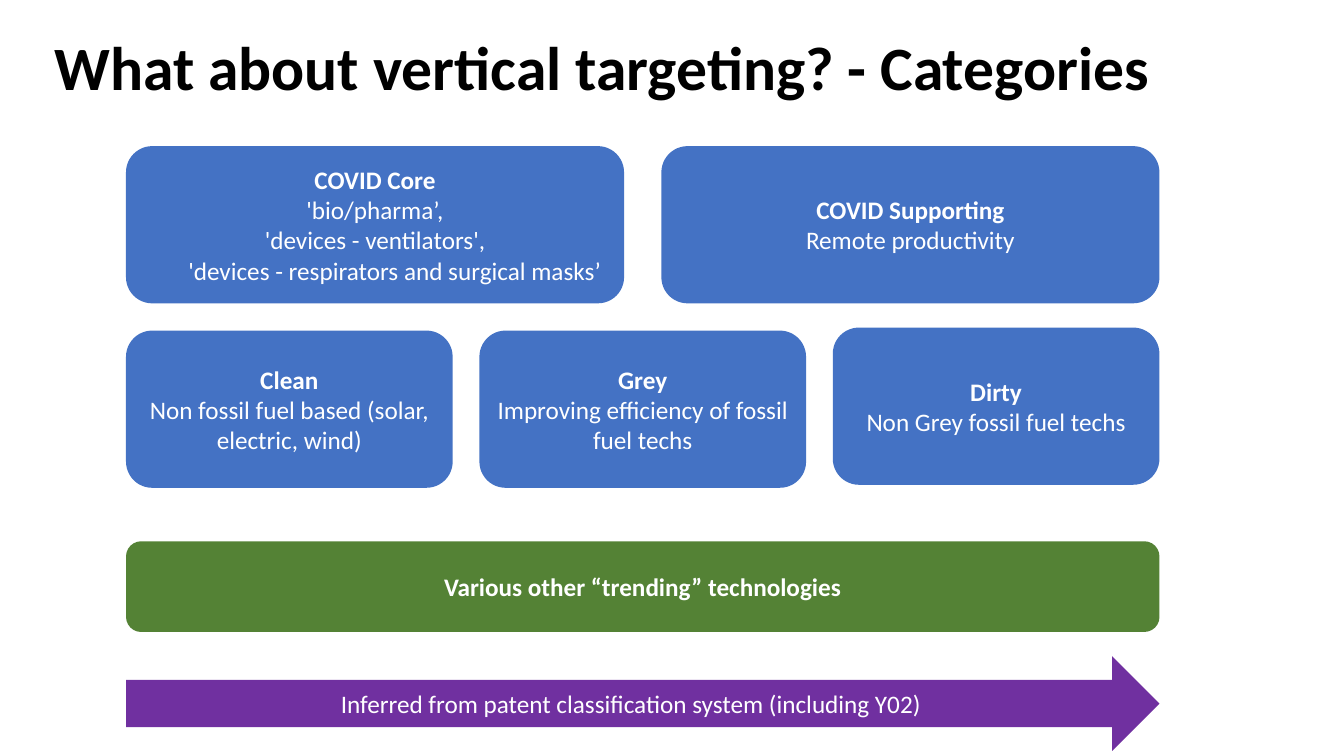
from pptx import Presentation
from pptx import util as u
from pptx.dml.color import RGBColor
from pptx.enum import shapes, text

COLORS = {"title": "000000", "text": "FFFFFF", "category": "4472C4",
          "trending": "548235", "arrow": "7030A0"}
FONT = "Calibri"
TITLE = "What about vertical targeting? - Categories"
COVID = [
    ("COVID Core", ["'bio/pharma’,", "'devices - ventilators',",
                    "'devices - respirators and surgical masks’"]),
    ("COVID Supporting", ["Remote productivity"]),
]
ENERGY = [
    ("Clean", ["Non fossil fuel based (solar, electric, wind)"]),
    ("Grey", ["Improving efficiency of fossil fuel techs"]),
    ("Dirty", ["Non Grey fossil fuel techs"]),
]
TRENDING = "Various other “trending” technologies"
SOURCE = "Inferred from patent classification system (including Y02)"
INDENTS = {"'devices - respirators and surgical masks’": 0.39}

LEFT, WIDTH, BOX_H = 1.25, 10.25, 1.56
ROWS = [
    (COVID, 4.94, [1.45, 1.45]),
    (ENERGY, 3.24, [3.28, 3.28, 3.25]),
]


def write(p, words, size=18, color="text", bold=False,
          align=text.PP_ALIGN.CENTER, indent=0):
    p.alignment = align
    if indent:
        p._p.get_or_add_pPr().set("marL", str(u.Inches(indent)))
    r = p.add_run()
    r.text = words
    r.font.name = FONT
    r.font.size = u.Pt(size)
    r.font.bold = bold
    r.font.color.rgb = RGBColor.from_string(COLORS[color])


def add_block(s, kind, box, color, heading=None, lines=()):
    sp = s.shapes.add_shape(kind, *map(u.Inches, box))
    sp.shadow.inherit = False
    sp.fill.solid()
    sp.fill.fore_color.rgb = RGBColor.from_string(COLORS[color])
    sp.line.fill.background()
    tf = sp.text_frame
    tf.word_wrap = True
    tf.vertical_anchor = text.MSO_ANCHOR.MIDDLE
    entries = [(heading, True)] if heading else []
    entries += [(line, False) for line in lines]
    for i, (words, bold) in enumerate(entries):
        p = tf.add_paragraph() if i else tf.paragraphs[0]
        write(p, words, bold=bold, indent=INDENTS.get(words, 0))


def main():
    prs = Presentation()
    prs.slide_width, prs.slide_height = u.Inches(13.33), u.Inches(7.5)
    s = prs.slides.add_slide(prs.slide_layouts[5])

    title = s.shapes.title
    title.left, title.top = u.Inches(0.44), u.Inches(0.16)
    title.width, title.height = u.Inches(11.5), u.Inches(1.07)
    tf = title.text_frame
    tf.word_wrap = True
    tf.auto_size = text.MSO_AUTO_SIZE.NONE
    tf.vertical_anchor = text.MSO_ANCHOR.MIDDLE
    tf.paragraphs[0].line_spacing = 0.9
    write(tf.paragraphs[0], TITLE, size=44, color="title", bold=True,
          align=text.PP_ALIGN.LEFT)

    rounded = shapes.MSO_SHAPE.ROUNDED_RECTANGLE
    for blocks, width, tops in ROWS:
        step = (WIDTH - width) / (len(blocks) - 1)
        for i, ((heading, lines), top) in enumerate(zip(blocks, tops)):
            add_block(s, rounded, (LEFT + i * step, top, width, BOX_H),
                      "category", heading, lines)

    add_block(s, rounded, (LEFT, 5.37, WIDTH, 0.9), "trending", TRENDING)
    add_block(s, shapes.MSO_SHAPE.RIGHT_ARROW, (LEFT, 6.51, WIDTH, 0.94),
              "arrow", lines=[SOURCE])
    prs.save("out.pptx")


if __name__ == "__main__":
    main()
